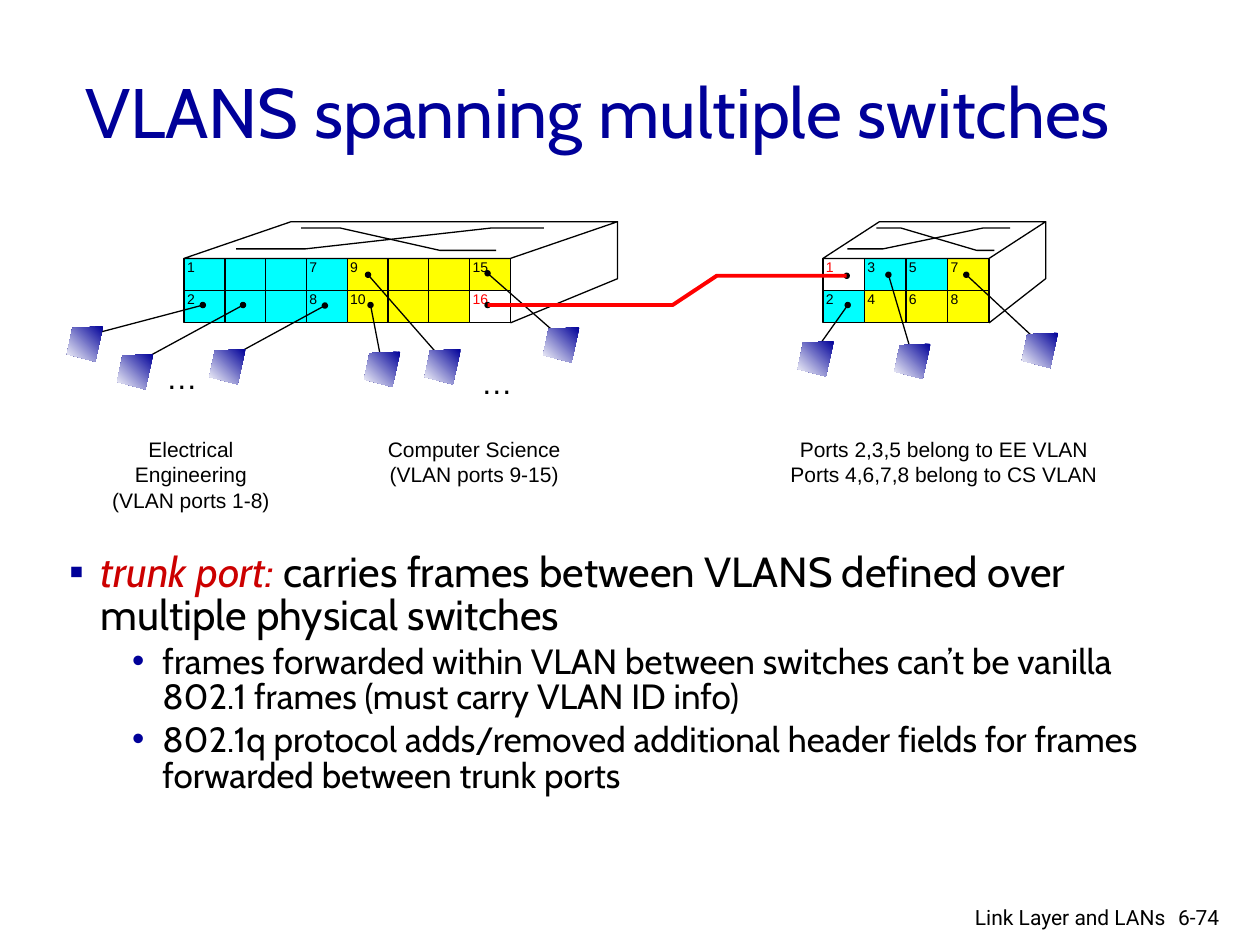
from dataclasses import dataclass

from lxml.etree import SubElement
from pptx import Presentation
from pptx.dml.color import RGBColor
from pptx.enum.shapes import MSO_CONNECTOR, MSO_SHAPE
from pptx.enum.text import MSO_ANCHOR, MSO_AUTO_SIZE, PP_ALIGN
from pptx.oxml.ns import qn
from pptx.util import Cm, Pt


@dataclass(frozen=True)
class Theme:
    navy: str = "000099"
    crimson: str = "CC0000"
    red: str = "FF0000"
    black: str = "000000"
    white: str = "FFFFFF"
    cyan: str = "00FFFF"
    yellow: str = "FFFF00"
    text_font: str = "Cabin"
    label_font: str = "Arial"
    footer_font: str = "Roboto"
    title_size: int = 40
    body_sizes: tuple = (24, 20)
    ellipsis_size: int = 18
    caption_size: int = 12
    port_size: int = 8
    thin: float = 0.75
    thick: float = 2.25


@dataclass(frozen=True)
class Switch:
    box: tuple
    depth: float
    rows: tuple
    labels: dict
    cross: tuple
    links: tuple
    trunk: tuple


THEME = Theme()
ROOF_HEIGHT = 0.74
SIDE_HEIGHT = 1.15
CELL_COLORS = {"E": THEME.cyan, "C": THEME.yellow, "T": THEME.white}

BIG_SWITCH = Switch(
    box=(3.71, 5.21, 6.58, 1.3),
    depth=2.16,
    rows=("EEEECCCC", "EEEECCCT"),
    labels={(0, 0): "1", (1, 0): "2", (0, 3): "7", (1, 3): "8",
            (0, 4): "9", (1, 4): "10", (0, 7): "15", (1, 7): "16"},
    cross=((0.12, 0.28, 0.71, 0.83), (0.27, 0.36, 0.59, 0.72)),
    links=(((0.38, 0.94), (-2.36, 1.37)), ((1.19, 0.94), (-1.35, 1.93)),
           ((2.84, 0.95), (0.51, 1.83)), ((3.76, 0.94), (3.63, 1.88)),
           ((3.71, 0.33), (4.85, 1.83)), ((6.12, 0.3), (7.24, 1.39))),
    trunk=(6.12, 0.94),
)
SMALL_SWITCH = Switch(
    box=(16.59, 5.21, 3.35, 1.3),
    depth=1.14,
    rows=("TEEC", "ECCC"),
    labels={(0, 0): "1", (1, 0): "2", (0, 1): "3", (1, 1): "4",
            (0, 2): "5", (1, 2): "6", (0, 3): "7", (1, 3): "8"},
    cross=((0.11, 0.27, 0.72, 0.84), (0.24, 0.35, 0.69, 0.77)),
    links=(((0.5, 0.94), (-0.51, 1.67)), ((1.32, 0.33), (1.44, 1.72)),
           ((2.89, 0.33), (4.01, 1.5))),
    trunk=(0.48, 0.35),
)


def color(value):
    return RGBColor.from_string(value)


def add_run(paragraph, text, font, size, ink=THEME.black, italic=False):
    run = paragraph.add_run()
    run.text = text
    run.font.name = font
    run.font.size = Pt(size)
    run.font.italic = italic
    run.font.color.rgb = color(ink)


def style(shape, fill=None, line=None, width=THEME.thin):
    shape.shadow.inherit = False
    if fill:
        shape.fill.solid()
        shape.fill.fore_color.rgb = color(fill)
    else:
        shape.fill.background()
    if line:
        shape.line.color.rgb = color(line)
        shape.line.width = Pt(width)
    else:
        shape.line.fill.background()


def add_preset(slide, kind, box, fill, line=None):
    shape = slide.shapes.add_shape(kind, *map(Cm, box))
    style(shape, fill, line)
    return shape


def add_outline(slide, points, close=False):
    points = [(Cm(x), Cm(y)) for x, y in points]
    builder = slide.shapes.build_freeform(*points[0], scale=1.0)
    builder.add_line_segments(points[1:], close=close)
    return builder.convert_to_shape()


def add_path(slide, points, ink=THEME.black, width=THEME.thin):
    style(add_outline(slide, points), line=ink, width=width)


def add_text(slide, box, lines, font, size, alignment=PP_ALIGN.LEFT):
    frame = slide.shapes.add_textbox(*map(Cm, box)).text_frame
    frame.word_wrap = True
    for index, line in enumerate(lines):
        paragraph = frame.add_paragraph() if index else frame.paragraphs[0]
        paragraph.alignment = alignment
        add_run(paragraph, line, font, size)


def add_dot(slide, x, y):
    size = 0.13
    add_preset(slide, MSO_SHAPE.OVAL, (x - size / 2, y - size / 2, size, size), THEME.black)


def add_computer(slide, left, top):
    corners = ((0.73, 0), (0.11, 0.03), (0, 0.56), (0.57, 0.71))
    shape = add_outline(slide, [(left + x, top + y) for x, y in corners], close=True)
    style(shape)
    shape.fill.gradient()
    shape.fill.gradient_angle = 225
    for stop, position, ink in zip(shape.fill.gradient_stops, (0, 1), (THEME.navy, THEME.white)):
        stop.position = position
        stop.color.rgb = color(ink)


def add_link(slide, start, end):
    connector = slide.shapes.add_connector(MSO_CONNECTOR.STRAIGHT, *map(Cm, start + end))
    connector.line.color.rgb = color(THEME.black)
    connector.line.width = Pt(THEME.thin)
    SubElement(connector._element.spPr, qn("a:effectLst"))


def add_ports(slide, switch):
    left, top, width, height = switch.box
    cell_width = width / len(switch.rows[0])
    cell_height = height / len(switch.rows)
    for row, owners in enumerate(switch.rows):
        for column, owner in enumerate(owners):
            box = (left + column * cell_width, top + row * cell_height, cell_width, cell_height)
            cell = add_preset(slide, MSO_SHAPE.RECTANGLE, box, CELL_COLORS[owner], THEME.black)
            if (row, column) not in switch.labels:
                continue
            frame = cell.text_frame
            frame.margin_left = Cm(0.06)
            frame.margin_top = frame.margin_right = frame.margin_bottom = 0
            frame.vertical_anchor = MSO_ANCHOR.TOP
            frame.paragraphs[0].alignment = PP_ALIGN.LEFT
            ink = THEME.red if owner == "T" else THEME.black
            add_run(frame.paragraphs[0], switch.labels[row, column], THEME.label_font, THEME.port_size, ink)


def add_switch(slide, switch):
    left, top, width, height = switch.box
    add_ports(slide, switch)
    roof_top, roof_width = top - ROOF_HEIGHT, width + switch.depth
    roof = add_preset(slide, MSO_SHAPE.PARALLELOGRAM, (left, roof_top, roof_width, ROOF_HEIGHT),
                      THEME.white, THEME.black)
    roof.adjustments[0] = switch.depth / ROOF_HEIGHT
    back = left + roof_width
    add_path(slide, [(left + width, top + height), (back, roof_top + SIDE_HEIGHT), (back, roof_top)])
    for columns, rows in zip(switch.cross, ((0.74, 0.74, 0.17, 0.17), (0.17, 0.17, 0.78, 0.78))):
        add_path(slide, [(left + x * roof_width, roof_top + y * ROOF_HEIGHT)
                         for x, y in zip(columns, rows)])
    for (port_x, port_y), (computer_x, computer_y) in switch.links:
        port = (left + port_x, top + port_y)
        computer = (left + computer_x, top + computer_y)
        add_link(slide, port, (computer[0] + 0.35, computer[1] + 0.2))
        add_dot(slide, *port)
        add_computer(slide, *computer)
    trunk = (left + switch.trunk[0], top + switch.trunk[1])
    add_dot(slide, *trunk)
    return trunk


def add_network(slide):
    start = add_switch(slide, BIG_SWITCH)
    end = add_switch(slide, SMALL_SWITCH)
    add_path(slide, [start, (13.56, start[1]), (14.45, end[1]), end], THEME.red, THEME.thick)
    for left, top in ((3.1, 7.09), (9.45, 7.19)):
        add_text(slide, (left, top, 1.2, 1.02), ["…"], THEME.label_font, THEME.ellipsis_size)
    captions = (
        (3.85, 4.2, ["Electrical Engineering", "(VLAN ports 1-8)"]),
        (9.56, 4.2, ["Computer Science", "(VLAN ports 9-15)"]),
        (19.03, 7.2, ["Ports 2,3,5 belong to EE VLAN", "Ports 4,6,7,8 belong to CS VLAN"]),
    )
    for center, width, lines in captions:
        add_text(slide, (center - width / 2, 8.68, width, 1.27), lines,
                 THEME.label_font, THEME.caption_size, PP_ALIGN.CENTER)


def place(shape, box):
    shape.left, shape.top, shape.width, shape.height = map(Cm, box)
    shape.text_frame.auto_size = MSO_AUTO_SIZE.NONE
    shape.text_frame.word_wrap = True


def fill_title(title, box):
    place(title, box)
    title.text_frame.vertical_anchor = MSO_ANCHOR.MIDDLE
    paragraph = title.text_frame.paragraphs[0]
    paragraph.alignment = PP_ALIGN.LEFT
    add_run(paragraph, "VLANS spanning multiple switches", THEME.text_font, THEME.title_size, THEME.navy)


def format_bullet(paragraph, level):
    margin, indent, character = ((0.64, -0.64, "▪"), (1.88, -0.61, "•"))[level]
    paragraph.level = level
    properties = paragraph._p.get_or_add_pPr()
    properties.set("marL", str(Cm(margin)))
    properties.set("indent", str(Cm(indent)))
    SubElement(SubElement(properties, qn("a:buClr")), qn("a:srgbClr"), val=THEME.navy)
    SubElement(properties, qn("a:buFont"), typeface=THEME.label_font)
    SubElement(properties, qn("a:buChar"), char=character)
    paragraph.line_spacing = 0.85


def fill_body(body, box):
    place(body, box)
    items = (
        (0, (("trunk port: ", THEME.crimson, True),
             ("carries frames between VLANS defined over multiple physical switches", THEME.black, False))),
        (1, (("frames forwarded within VLAN between switches can’t be vanilla 802.1 frames "
              "(must carry VLAN ID info)", THEME.black, False),)),
        (1, (("802.1q protocol adds/removed additional header fields for frames forwarded "
              "between trunk ports", THEME.black, False),)),
    )
    frame = body.text_frame
    for index, (level, runs) in enumerate(items):
        paragraph = frame.add_paragraph() if index else frame.paragraphs[0]
        format_bullet(paragraph, level)
        size = THEME.body_sizes[level]
        paragraph.space_before = Pt(size * 0.2 if index else 0)
        for text, ink, italic in runs:
            add_run(paragraph, text, THEME.text_font, size, ink, italic)


def add_footer(slide):
    add_text(slide, (17.7, 18.11, 6.05, 0.66), ["Link Layer and LANs"],
             THEME.footer_font, THEME.caption_size, PP_ALIGN.RIGHT)
    add_text(slide, (23.5, 18.11, 1.52, 0.76), ["6-74"], THEME.footer_font, THEME.caption_size)


def main():
    presentation = Presentation()
    presentation.slide_width, presentation.slide_height = Cm(25.4), Cm(19.05)
    slide = presentation.slides.add_slide(presentation.slide_layouts[1])
    fill_title(slide.shapes.title, (1.47, 0.64, 21.59, 3.18))
    fill_body(slide.placeholders[1], (1.14, 11.02, 23.04, 7.47))
    add_network(slide)
    add_footer(slide)
    presentation.save("out.pptx")


if __name__ == "__main__":
    main()
